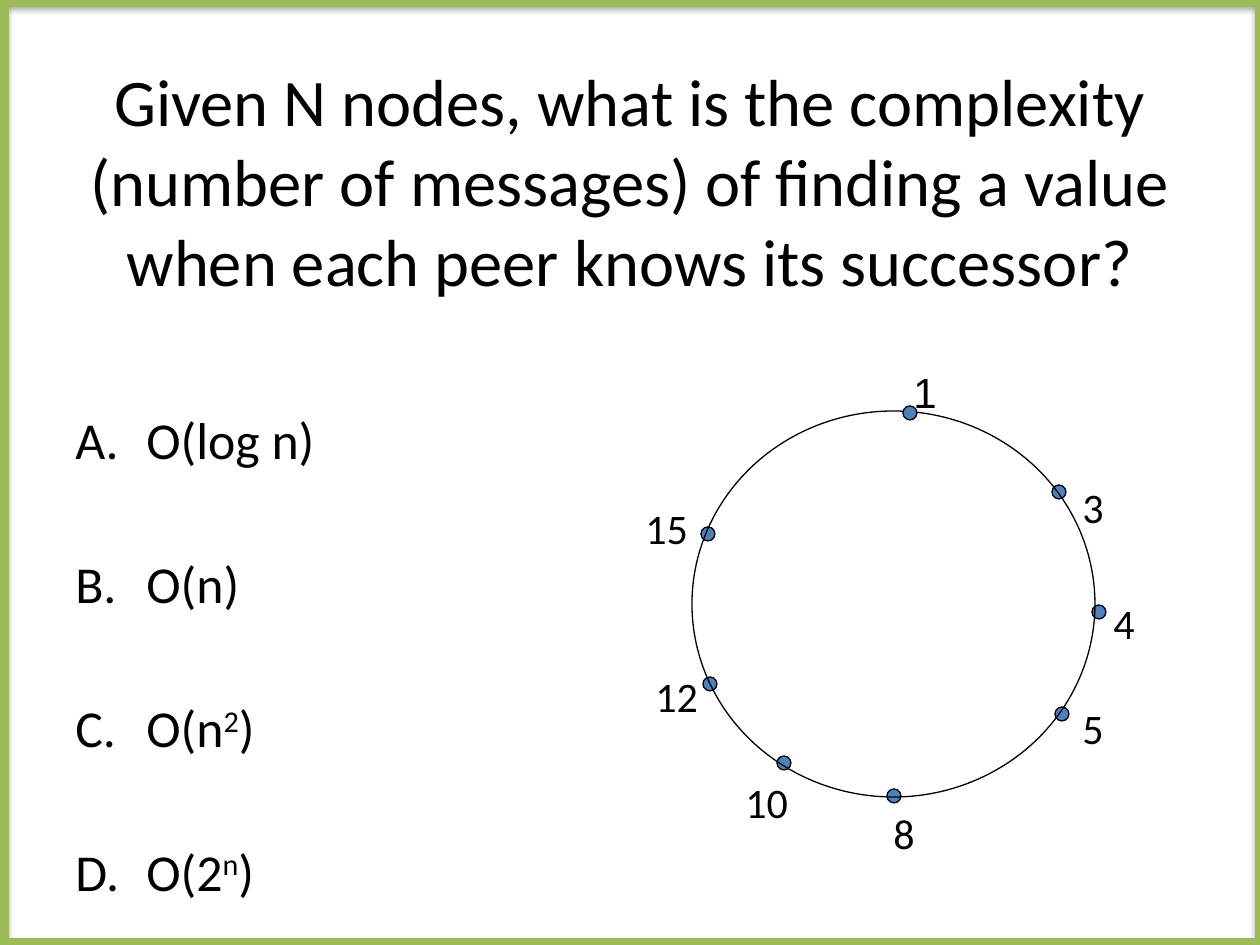
from lxml.etree import SubElement
from pptx import Presentation
from pptx.dml.color import RGBColor
from pptx.enum.shapes import MSO_SHAPE as Shape
from pptx.enum.text import MSO_ANCHOR as Anchor, MSO_AUTO_SIZE as AutoSize, PP_ALIGN as Align
from pptx.oxml.ns import qn
from pptx.util import Inches, Pt

PIXEL = Inches(1) // 126
BLACK, BLUE, GREEN = "000000", "4F81BD", "9BBB59"


def color(value):
    return RGBColor.from_string(value)


class Canvas:
    font = "Calibri"

    def __init__(self, slide):
        self.slide = slide

    def box(self, left, top, width, height, wrap=True):
        frame = self.slide.shapes.add_textbox(
            *(PIXEL * n for n in (left, top, width, height))).text_frame
        frame.word_wrap = wrap
        return frame

    def run(self, paragraph, text, size, font=None, raised=False):
        run = paragraph.add_run()
        run.text = text
        run.font.size = Pt(size)
        run.font.name = font or self.font
        run.font.color.rgb = color(BLACK)
        if raised:
            run.font._element.set("baseline", "30000")

    def title(self, text, size, *place):
        frame = self.box(*place)
        frame.vertical_anchor = Anchor.MIDDLE
        paragraph = frame.paragraphs[0]
        paragraph.alignment = Align.CENTER
        self.run(paragraph, text, size)

    def choices(self, answers, size, indent, gap, *place):
        frame = self.box(*place)
        for index, parts in enumerate(answers):
            paragraph = frame.add_paragraph() if index else frame.paragraphs[0]
            paragraph.space_before = Pt(gap if index else 0)
            properties = paragraph._p.get_or_add_pPr()
            properties.set("marL", str(indent * PIXEL))
            properties.set("indent", str(-indent * PIXEL))
            SubElement(properties, qn("a:buFont"), typeface="+mj-lt")
            SubElement(properties, qn("a:buAutoNum"), type="alphaUcPeriod")
            for position, part in enumerate(parts):
                self.run(paragraph, part, size, raised=position == 1)

    def label(self, text, left, top, font=None):
        frame = self.box(left, top, 25 + 24 * len(text), 63, wrap=False)
        frame.auto_size = AutoSize.SHAPE_TO_FIT_TEXT
        self.run(frame.paragraphs[0], text, 24, font)

    def shape(self, kind, left, top, width, height, fill=None, line=BLACK, weight=0.75):
        shape = self.slide.shapes.add_shape(
            kind, *(PIXEL * n for n in (left, top, width, height)))
        shape.shadow.inherit = False
        if fill:
            shape.fill.solid()
            shape.fill.fore_color.rgb = color(fill)
        else:
            shape.fill.background()
        shape.line.color.rgb = color(line)
        shape.line.width = Pt(weight)
        return shape

    def node(self, left, top):
        self.shape(Shape.OVAL, left, top, 14, 14, BLUE)

    def frame(self, *place):
        shape = self.shape(Shape.RECTANGLE, *place, line=GREEN, weight=8)
        effects = shape._element.spPr.find(qn("a:effectLst"))
        shadow = SubElement(effects, qn("a:outerShdw"), blurRad=str(Pt(3.1)),
                            dist=str(Pt(1.8)), dir="5400000", rotWithShape="0")
        shade = SubElement(shadow, qn("a:srgbClr"), val=BLACK)
        SubElement(shade, qn("a:alpha"), val="35000")


presentation = Presentation()
presentation.slide_width, presentation.slide_height = Inches(10), Inches(7.5)
canvas = Canvas(presentation.slides.add_slide(presentation.slide_layouts[6]))

canvas.title("Given N nodes, what is the complexity (number of messages) of finding "
             "a value when each peer knows its successor?", 38, 63, 18, 1134, 324)
canvas.choices([("O(log n)",), ("O(n)",), ("O(n", "2", ")"), ("O(2", "n", ")")],
               29.6, 71, 46.7, 63, 402, 1134, 445)

first_peer = ("1", (903, 406), (901, 360))
peers = [
    ("3", (1052, 485), (1070, 475)),
    ("4", (1092, 605), (1101, 591)),
    ("5", (1055, 707), (1070, 696)),
    ("8", (887, 789), (881, 801)),
    ("10", (777, 756), (733, 770)),
    ("12", (703, 677), (643, 664)),
    ("15", (701, 527), (633, 496)),
]
for name, node, label in peers:
    canvas.node(*node)
    canvas.label(name, *label)
canvas.shape(Shape.OVAL, 692, 411, 403, 386)
name, node, label = first_peer
canvas.label(name, *label, font="Arial")
canvas.node(*node)
canvas.frame(2, 0, 1260, 945)

presentation.save("out.pptx")
